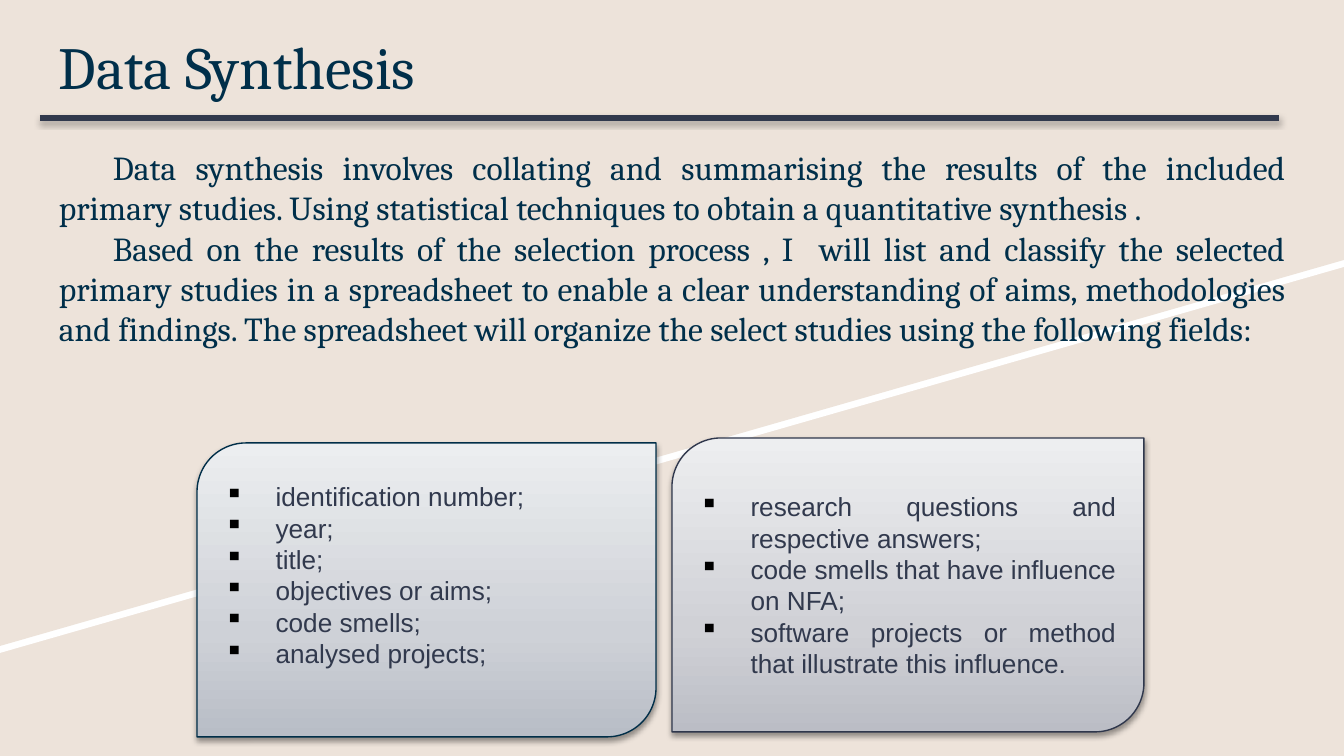
from copy import deepcopy

from lxml import etree
from pptx import Presentation
from pptx import util as u
from pptx.dml.color import RGBColor
from pptx.enum import shapes, text
from pptx.oxml import ns

SCALE = 914400 / 134.4
COLORS = {
    "background": "EDE3DA",
    "band": "FFFFFF",
    "heading": "002F4A",
    "slate": "31394D",
    "black": "000000",
}
BODY = [
    "Data synthesis involves collating and summarising the results of the included primary studies. "
    "Using statistical techniques to obtain a quantitative synthesis .",
    "Based on the results of the selection process , I  will list and classify the selected primary "
    "studies in a spreadsheet to enable a clear understanding of aims, methodologies and findings. "
    "The spreadsheet will organize the select studies using the following fields:",
]
CARDS = [
    {
        "box": (197, 443, 459, 294),
        "line": "002E48",
        "stops": ["B8BDC6", "CED1D7", "ECEEF0"],
        "bottom": 37,
        "items": ["identification number; ", "year; ", "title; ", "objectives or aims; ",
                  "code smells; ", "analysed projects;"],
    },
    {
        "box": (672, 438, 472, 294),
        "line": "2F374C",
        "stops": ["BBBDC5", "D0D1D6", "EDEEF0"],
        "bottom": 7,
        "items": ["research questions and respective answers;",
                  "code smells that have influence on NFA; ",
                  "software projects or method that illustrate this influence."],
    },
]


def px(value):
    return u.Emu(round(value * SCALE))


def color(value):
    return RGBColor.from_string(value)


def add_child(parent, tag, **attributes):
    child = etree.SubElement(parent, ns.qn(tag))
    for name, value in attributes.items():
        child.set(name, str(value))
    return child


def add_shadow(shape, distance, opacity):
    properties = shape._element.spPr
    effects = properties.find(ns.qn("a:effectLst"))
    if effects is None:
        effects = add_child(properties, "a:effectLst")
    shadow = add_child(effects, "a:outerShdw", blurRad=u.Pt(3.1), dist=u.Pt(distance),
                       dir=90 * 60000, rotWithShape=0)
    shade = add_child(shadow, "a:srgbClr", val=COLORS["black"])
    add_child(shade, "a:alpha", val=opacity * 1000)


def format_paragraph(paragraph, font, size, hex_color, alignment):
    paragraph.alignment = alignment
    paragraph.font.name = font
    paragraph.font.size = u.Pt(size)
    paragraph.font.color.rgb = color(hex_color)


def fill_frame(frame, lines, font, size, hex_color, alignment):
    frame.word_wrap = True
    frame.auto_size = text.MSO_AUTO_SIZE.NONE
    frame.text = "\n".join(lines)
    for paragraph in frame.paragraphs:
        format_paragraph(paragraph, font, size, hex_color, alignment)


def set_insets(frame, inset):
    frame.margin_left = frame.margin_right = px(inset)
    frame.margin_top = frame.margin_bottom = px(inset)


def add_backdrop(slide, points, hex_color):
    builder = slide.shapes.build_freeform(*points[0], scale=SCALE)
    builder.add_line_segments(points[1:], close=True)
    shape = builder.convert_to_shape()
    shape.shadow.inherit = False
    shape.fill.solid()
    shape.fill.fore_color.rgb = color(hex_color)
    shape.line.fill.background()


def add_title(slide, title_text):
    title = slide.shapes.title
    title.left, title.top, title.width, title.height = map(px, (46, 17, 1253, 188))
    frame = title.text_frame
    fill_frame(frame, [title_text], "Cambria", 32, COLORS["heading"], text.PP_ALIGN.LEFT)
    frame.vertical_anchor = text.MSO_ANCHOR.TOP
    set_insets(frame, 13)
    slide.shapes._spTree.append(title._element)


def add_rule(slide):
    rule = slide.shapes.add_connector(shapes.MSO_CONNECTOR.STRAIGHT,
                                      px(40), px(118), px(1279), px(118))
    rule.line.color.rgb = color(COLORS["slate"])
    rule.line.width = u.Pt(3)
    add_shadow(rule, 1.8, 35)


def add_body(slide):
    frame = slide.shapes.add_textbox(*map(px, (46, 134, 1253, 188))).text_frame
    fill_frame(frame, BODY, "Cambria", 18, COLORS["heading"], text.PP_ALIGN.JUSTIFY)
    set_insets(frame, 13)
    for paragraph in frame.paragraphs:
        paragraph._p.get_or_add_pPr().set("indent", str(px(54)))


def set_gradient(shape, stops):
    shape.fill.gradient()
    shape.fill.gradient_angle = 90
    stop_list = shape._element.spPr.find(".//" + ns.qn("a:gsLst"))
    stop_list.append(deepcopy(stop_list[-1]))
    for stop, position, value in zip(shape.fill.gradient_stops, (0, 0.35, 1), stops):
        stop.position = position
        stop.color.rgb = color(value)


def add_bullet(paragraph):
    properties = paragraph._p.get_or_add_pPr()
    properties.set("marL", str(px(51)))
    properties.set("indent", str(px(-51)))
    bullet_color = etree.Element(ns.qn("a:buClr"))
    add_child(bullet_color, "a:srgbClr", val=COLORS["black"])
    bullet = etree.Element(ns.qn("a:buChar"))
    bullet.set("char", "▪")
    properties.insert(0, bullet_color)
    properties.insert(1, bullet)


def add_card(slide, card):
    shape = slide.shapes.add_shape(shapes.MSO_SHAPE.ROUND_2_DIAG_RECTANGLE,
                                   *map(px, card["box"]))
    set_gradient(shape, card["stops"])
    shape.line.color.rgb = color(card["line"])
    shape.line.width = u.Pt(0.75)
    shape.shadow.inherit = False
    add_shadow(shape, 1.6, 38)
    frame = shape.text_frame
    fill_frame(frame, card["items"], "Arial", 14, COLORS["slate"], text.PP_ALIGN.JUSTIFY)
    frame.vertical_anchor = text.MSO_ANCHOR.MIDDLE
    frame.margin_bottom = px(card["bottom"])
    for paragraph in frame.paragraphs:
        add_bullet(paragraph)


def main():
    presentation = Presentation()
    presentation.slide_width, presentation.slide_height = px(1344), px(756)
    slide = presentation.slides.add_slide(presentation.slide_layouts[5])
    slide.background.fill.solid()
    slide.background.fill.fore_color.rgb = color(COLORS["background"])
    for top, hex_color in ((7, COLORS["band"]), (0, COLORS["background"])):
        points = [(0, top), (1344, top), (1344, top + 260), (0, top + 646)]
        add_backdrop(slide, points, hex_color)
    add_title(slide, "Data Synthesis")
    add_rule(slide)
    add_body(slide)
    for card in CARDS:
        add_card(slide, card)
    presentation.save("out.pptx")


if __name__ == "__main__":
    main()
